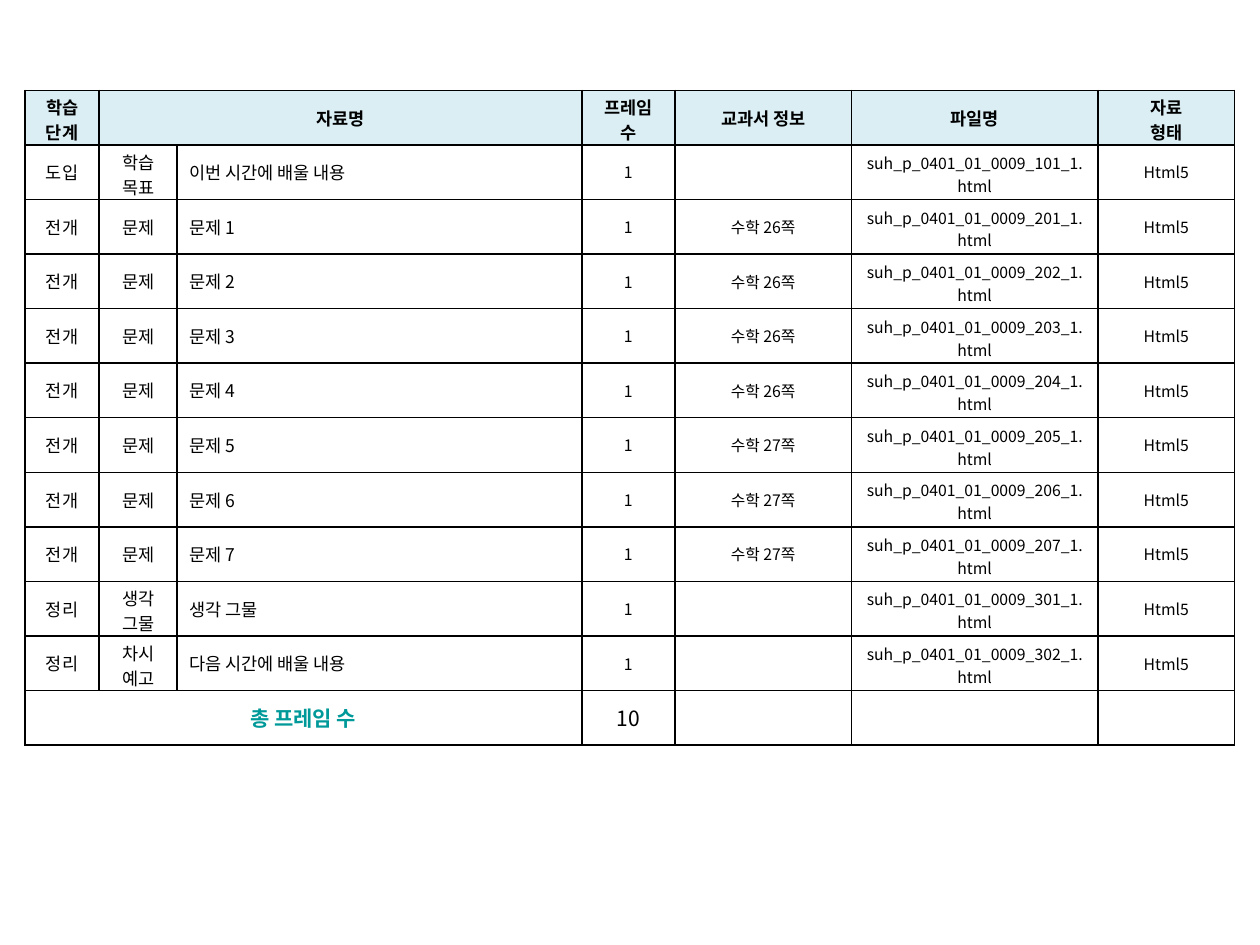
from lxml.etree import SubElement
from pptx import Presentation
from pptx.dml.color import RGBColor
from pptx.enum.text import MSO_ANCHOR, PP_ALIGN
from pptx.oxml.ns import qn
from pptx.util import Pt

FONT = "Noto Sans CJK KR"
COLORS = {"black": "000000", "header": "DBEEF4", "total": "009999"}
COLUMN_WIDTHS = [42.5, 44.6, 231.2, 53.2, 100.8, 141, 77.9]
ROW_HEIGHT = 31.2


def write_cell(cell, text, size=10, bold=False, color="black",
               align=PP_ALIGN.CENTER, fill=None, two_lines=False):
    """Fill one table cell with formatted text and black borders."""
    cell.vertical_anchor = MSO_ANCHOR.MIDDLE
    cell.margin_left = cell.margin_right = Pt(7.2)
    # Two lines only fit the row height with tight margins
    cell.margin_top = Pt(2.2 if two_lines else 3.6)
    cell.margin_bottom = Pt(0 if two_lines else 3.6)

    cell.text_frame.text = text
    for paragraph in cell.text_frame.paragraphs:
        paragraph.alignment = align
        for run in paragraph.runs:
            run.font.size = Pt(size)
            run.font.bold = bold
            run.font.name = FONT
            run.font.color.rgb = RGBColor.from_string(COLORS[color])
            SubElement(run.font._element, qn("a:ea"), typeface=FONT)
        if not paragraph.runs:
            SubElement(paragraph._p, qn("a:endParaRPr"), sz=str(size * 100))

    properties = cell._tc.get_or_add_tcPr()
    for side in ("lnL", "lnR", "lnT", "lnB"):
        line = SubElement(properties, qn(f"a:{side}"), w=str(Pt(1)))
        line_fill = SubElement(line, qn("a:solidFill"))
        SubElement(line_fill, qn("a:srgbClr"), val=COLORS["black"])
    if fill:
        cell.fill.solid()
        cell.fill.fore_color.rgb = RGBColor.from_string(COLORS[fill])
    else:
        cell.fill.background()


# Slide
presentation = Presentation()
presentation.slide_width = Pt(720)
presentation.slide_height = Pt(540)
slide = presentation.slides.add_slide(presentation.slide_layouts[6])

# Lesson materials: stage, kind, title, textbook page, file number
materials = [("도입", "학습\n목표", "이번 시간에 배울 내용", "", 101)]
for number in range(1, 8):
    page = 26 if number <= 4 else 27
    materials.append(("전개", "문제", f"문제 {number}", f"수학 {page}쪽", 200 + number))
materials += [
    ("정리", "생각\n그물", "생각 그물", "", 301),
    ("정리", "차시 예고", "다음 시간에 배울 내용", "", 302),
]

# Table grid
row_count = len(materials) + 2
shape = slide.shapes.add_table(row_count, len(COLUMN_WIDTHS), Pt(14.2), Pt(51.6),
                               Pt(sum(COLUMN_WIDTHS)), Pt(ROW_HEIGHT * row_count))
table = shape.table
table.first_row = False
table.horz_banding = False
for column, width in zip(table.columns, COLUMN_WIDTHS):
    column.width = Pt(width)
for row in table.rows:
    row.height = Pt(ROW_HEIGHT)
last = row_count - 1
table.cell(0, 1).merge(table.cell(0, 2))
table.cell(last, 0).merge(table.cell(last, 2))

# Header row
headers = ["학습 단계", "자료명", "", "프레임 수", "교과서 정보", "파일명", "자료\n형태"]
for column, text in enumerate(headers):
    write_cell(table.cell(0, column), text, bold=True, fill="header",
               two_lines=column in (0, 3, 6))

# Material rows
for row, (stage, kind, title, page, file_number) in enumerate(materials, start=1):
    file_name = f"suh_p_0401_01_0009_{file_number}_1.html"
    values = [stage, kind, title, "1", page, file_name, "Html5"]
    for column, text in enumerate(values):
        write_cell(table.cell(row, column), text, size=10 if column < 3 else 9,
                   align=PP_ALIGN.LEFT if column == 2 else PP_ALIGN.CENTER,
                   two_lines=column == 5 or (column == 1 and kind != "문제"))

# Total row
totals = ["총 프레임 수", "", "", str(len(materials)), "", "", ""]
for column, text in enumerate(totals):
    write_cell(table.cell(last, column), text, size=12, bold=column == 0,
               color="total" if column == 0 else "black")

presentation.save("out.pptx")
